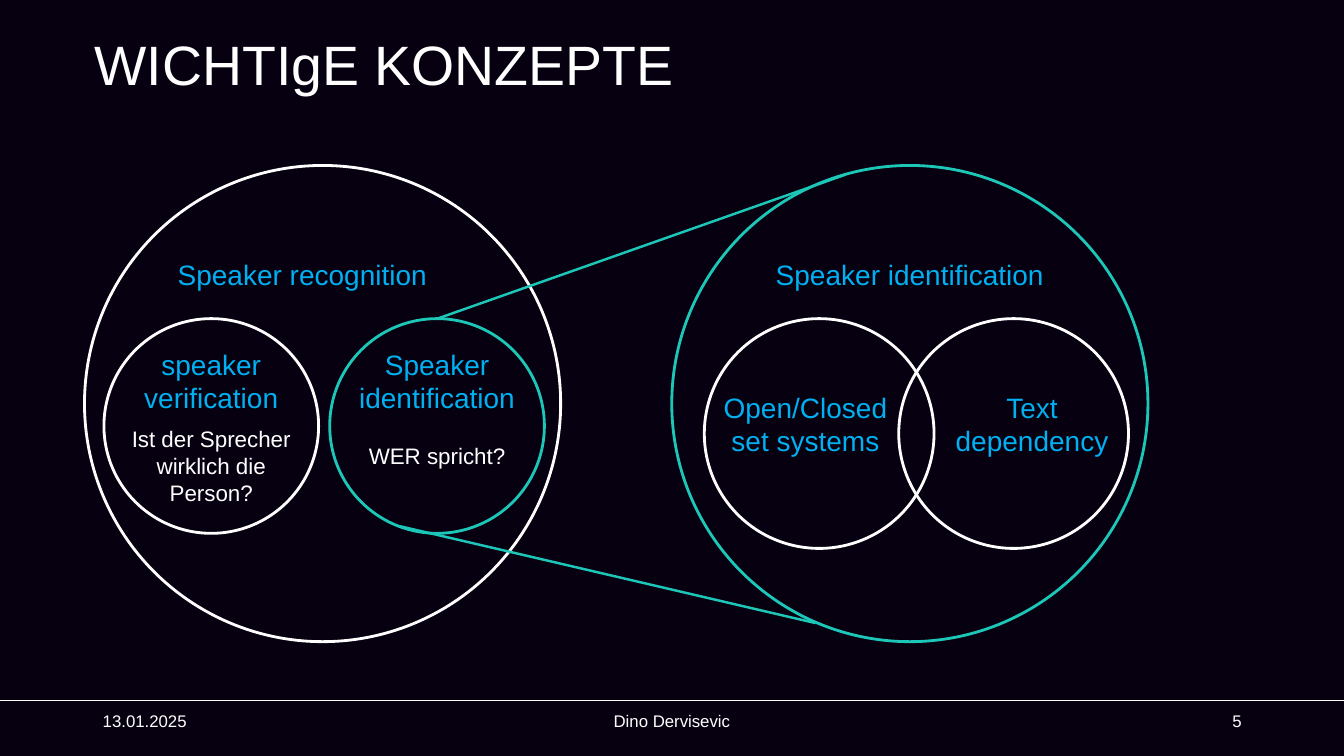
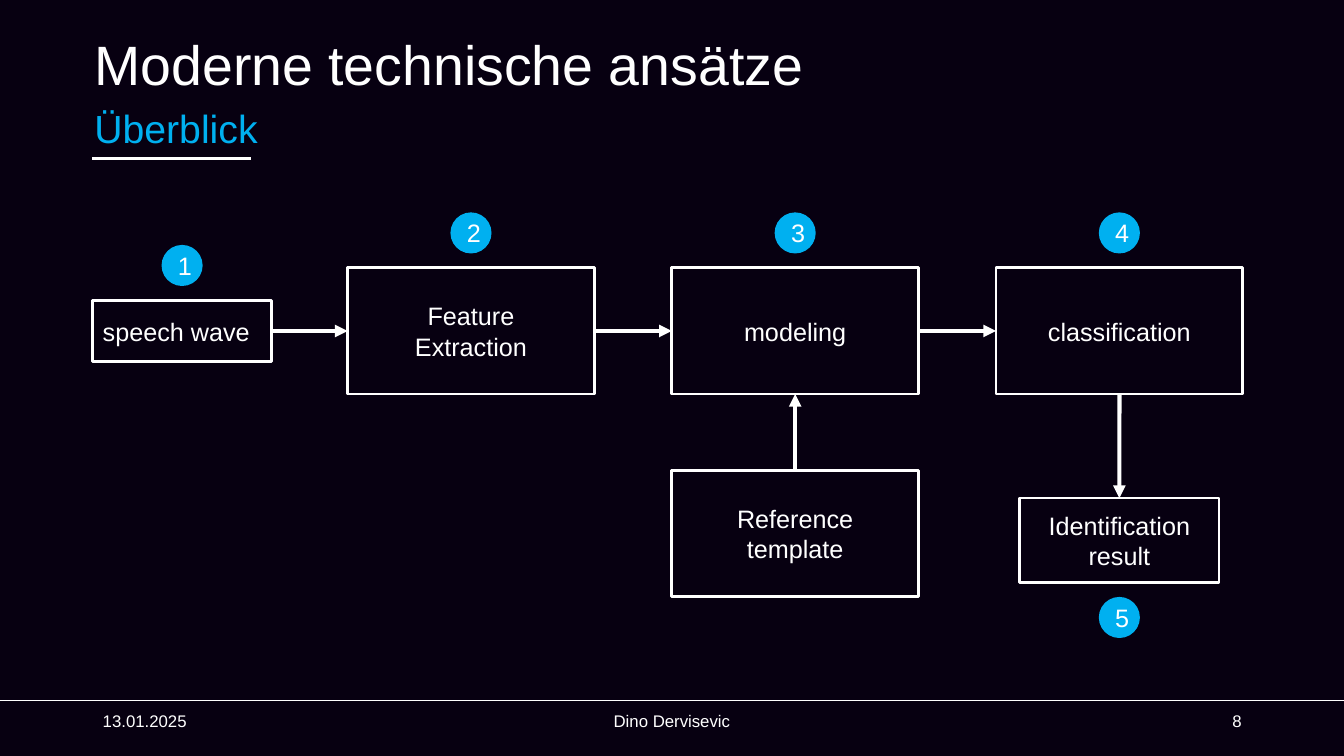
from dataclasses import dataclass

from pptx import Presentation
from pptx.dml.color import RGBColor
from pptx.enum.shapes import MSO_CONNECTOR, MSO_SHAPE
from pptx.enum.text import MSO_ANCHOR, MSO_AUTO_SIZE, PP_ALIGN
from pptx.oxml import parse_xml
from pptx.oxml.ns import nsdecls
from pptx.util import Cm, Pt


@dataclass(frozen=True)
class Theme:
    """Colours, font, type sizes and line widths of the deck."""
    night: RGBColor = RGBColor.from_string("070011")
    white: RGBColor = RGBColor.from_string("FFFFFF")
    blue: RGBColor = RGBColor.from_string("00B0F0")
    teal: RGBColor = RGBColor.from_string("1DC7B8")
    font: str = "Arial"
    title: float = 39.6
    subtitle: float = 28
    concept: float = 20
    step: float = 18
    question: float = 16
    footer: float = 12
    rule: float = 1
    zoom: float = 1.75
    outline: float = 2
    arrow: float = 3


@dataclass(frozen=True)
class Box:
    """A rectangle in centimetres."""
    left: float
    top: float
    width: float
    height: float

    @property
    def center(self):
        """Horizontal middle of the box."""
        return self.left + self.width / 2

    @property
    def bottom(self):
        """Lower edge of the box."""
        return self.top + self.height

    def lengths(self):
        """Position and size as slide lengths."""
        return Cm(self.left), Cm(self.top), Cm(self.width), Cm(self.height)


THEME = Theme()
PAGE = Box(0, 0, 33.87, 19.05)


def write(frame, text, size, color=THEME.white, align=PP_ALIGN.LEFT, spacing=None):
    """Fill a text frame with one formatted paragraph."""
    paragraph = frame.paragraphs[0]
    paragraph.text = text
    paragraph.alignment = align
    paragraph.line_spacing = spacing
    paragraph.font.size = Pt(size)
    paragraph.font.name = THEME.font
    paragraph.font.color.rgb = color


def add_text(slide, box, text, size, color=THEME.white, align=PP_ALIGN.LEFT,
             spacing=None, wrap=True):
    """Place vertically centred text in a box."""
    frame = slide.shapes.add_textbox(*box.lengths()).text_frame
    frame.word_wrap = wrap
    frame.vertical_anchor = MSO_ANCHOR.MIDDLE
    write(frame, text, size, color, align, spacing)


def add_outline(slide, preset, box, color=THEME.white, width=THEME.outline):
    """Draw an unfilled preset shape."""
    outline = slide.shapes.add_shape(preset, *box.lengths())
    outline.fill.background()
    outline.line.color.rgb = color
    outline.line.width = Pt(width)
    outline.shadow.inherit = False
    return outline


def add_line(slide, start=(0, 0), end=(0, 0), color=THEME.white, width=THEME.rule):
    """Draw a straight line without shadow."""
    points = (Cm(length) for length in (*start, *end))
    line = slide.shapes.add_connector(MSO_CONNECTOR.STRAIGHT, *points)
    line.line.color.rgb = color
    line.line.width = Pt(width)
    line._element.spPr.append(parse_xml(f"<a:effectLst {nsdecls('a')}/>"))
    return line


def add_arrow(slide, source, source_side, target, target_side):
    """Join two steps with an arrow."""
    arrow = add_line(slide, width=THEME.arrow)
    arrow.begin_connect(source, source_side)
    arrow.end_connect(target, target_side)
    arrow.line._get_or_add_ln().append(
        parse_xml(f'<a:tailEnd {nsdecls("a")} type="triangle"/>'))


def add_footer(slide, box, number):
    """Place the rule, date, author and slide number."""
    add_line(slide, (box.left, box.top), (box.left + box.width, box.top))
    entries = (("13.01.2025", 2.34, 7.62, PP_ALIGN.LEFT),
               ("Dino Dervisevic", 11.22, 11.43, PP_ALIGN.CENTER),
               (number, 23.92, 7.62, PP_ALIGN.RIGHT))
    for text, offset, width, align in entries:
        add_text(slide, Box(box.left + offset, box.top, width, 1.02), text,
                 THEME.footer, align=align)


def add_base_slide(deck, title, number):
    """Add a slide with its title and footer."""
    slide = deck.slides.add_slide(deck.slide_layouts[5])
    heading = slide.shapes.title
    heading.left, heading.top, heading.width, heading.height = Box(
        2.13, 1.02, 29.4, 1.35).lengths()
    heading.text_frame.auto_size = MSO_AUTO_SIZE.NONE
    heading.text_frame.vertical_anchor = MSO_ANCHOR.MIDDLE
    write(heading.text_frame, title, THEME.title, spacing=0.9)
    add_footer(slide, Box(0, 17.65, PAGE.width, 1.4), number)
    return slide


def add_label(slide, center, top, width, text, size=THEME.concept, color=THEME.blue):
    """Centre a label on a horizontal position."""
    height = 0.25 + 0.041 * size * len(text.split("\n"))
    add_text(slide, Box(center - width / 2, top, width, height), text, size, color,
             PP_ALIGN.CENTER, wrap=False)


def add_concept(slide, box, heading, heading_center, color):
    """Draw a large concept circle and its heading."""
    add_outline(slide, MSO_SHAPE.OVAL, box, color)
    add_label(slide, box.left + heading_center, box.top + 2.21, 8, heading)


def add_recognition(slide, box):
    """Draw speaker recognition with its two tasks."""
    add_concept(slide, box, "Speaker recognition", 5.49, THEME.white)
    tasks = ((0.49, "speaker\nverification", 2.59,
              "Ist der Sprecher\nwirklich die\nPerson?", THEME.white),
             (6.18, "Speaker\nidentification", 3, "WER spricht?", THEME.teal))
    for offset, task, question_top, question, color in tasks:
        circle = Box(box.left + offset, box.top + 3.86, 5.41, 5.41)
        add_outline(slide, MSO_SHAPE.OVAL, circle, color)
        add_label(slide, circle.center, circle.top + 0.62, 5, task)
        add_label(slide, circle.center, circle.top + question_top, 4.7, question,
                  THEME.question, THEME.white)


def add_identification(slide, box):
    """Draw speaker identification with its overlapping aspects."""
    add_concept(slide, box, "Speaker identification", box.width / 2, THEME.teal)
    aspects = ((0.82, "Open/Closed\nset systems", 3.37),
               (5.72, "Text\ndependency", 9.08))
    for offset, aspect, label_center in aspects:
        circle = Box(box.left + offset, box.top + 3.86, 5.79, 5.79)
        add_outline(slide, MSO_SHAPE.OVAL, circle)
        add_label(slide, box.left + label_center, circle.top + 1.7, 5, aspect)


def add_concept_map(slide, box):
    """Place both concepts and the lines that enlarge one task."""
    diameter = box.height
    add_recognition(slide, Box(box.left, box.top, diameter, diameter))
    add_identification(
        slide, Box(box.left + box.width - diameter, box.top, diameter, diameter))
    for x1, y1, x2, y2 in ((8.89, 3.86, 19.18, 0.23), (7.95, 9.09, 18.42, 11.53)):
        add_line(slide, (box.left + x1, box.top + y1), (box.left + x2, box.top + y2),
                 THEME.teal, THEME.zoom)


def add_subtitle(slide, box, text):
    """Place the underlined subtitle."""
    add_text(slide, box, text, THEME.subtitle, THEME.blue, spacing=0.9)
    add_line(slide, (box.left + 0.2, box.bottom + 0.02),
             (box.left + 4.2, box.bottom + 0.02), width=THEME.outline)


def add_step(slide, box, text, align=PP_ALIGN.CENTER):
    """Draw a framed process step."""
    step = add_outline(slide, MSO_SHAPE.RECTANGLE, box)
    step.text_frame.word_wrap = True
    write(step.text_frame, text, THEME.step, align=align)
    return step


def add_badge(slide, step_box, number, below=False):
    """Place a numbered badge above or below a step."""
    size, gap = 1, 0.38
    top = step_box.bottom + gap if below else step_box.top - gap - size
    badge = add_outline(slide, MSO_SHAPE.OVAL,
                        Box(step_box.center - size / 2, top, size, size),
                        THEME.blue, THEME.rule)
    badge.fill.solid()
    badge.fill.fore_color.rgb = THEME.blue
    write(badge.text_frame, str(number), THEME.step, align=PP_ALIGN.CENTER)


def add_pipeline(slide, box):
    """Draw the path from speech wave to identification result."""
    width, height, pitch = 6.22, 3.18, 8.17
    extraction, modeling, classification = (
        Box(box.left + 6.42 + pitch * column, box.top, width, height)
        for column in range(3))
    wave = Box(box.left, box.top + 0.82, 4.5, 1.54)
    reference = Box(modeling.left, box.top + 5.1, width, height)
    result = Box(classification.center - 2.51, box.top + 5.8, 5.02, 2.13)

    wave_step = add_step(slide, wave, "speech wave", PP_ALIGN.LEFT)
    extraction_step = add_step(slide, extraction, "Feature\nExtraction")
    modeling_step = add_step(slide, modeling, "modeling")
    classification_step = add_step(slide, classification, "classification")
    reference_step = add_step(slide, reference, "Reference\ntemplate")
    result_step = add_step(slide, result, "Identification\nresult")

    chain = (wave_step, extraction_step, modeling_step, classification_step)
    for source, target in zip(chain, chain[1:]):
        add_arrow(slide, source, 3, target, 1)
    add_arrow(slide, reference_step, 0, modeling_step, 2)
    add_arrow(slide, classification_step, 2, result_step, 0)

    numbered = (wave, extraction, modeling, classification, result)
    for number, step_box in enumerate(numbered, 1):
        add_badge(slide, step_box, number, below=step_box is result)


def add_concepts_slide(deck):
    """Build the slide on important concepts."""
    slide = add_base_slide(deck, "WICHTIgE KONZEPTE", "5")
    add_concept_map(slide, Box(2.13, 4.17, 26.8, 12))


def add_approaches_slide(deck):
    """Build the slide on modern technical approaches."""
    slide = add_base_slide(deck, "Moderne technische ansätze", "8")
    add_subtitle(slide, Box(2.13, 2.62, 29.21, 1.35), "Überblick")
    add_pipeline(slide, Box(2.34, 6.75, 28.98, 8.28))


def main():
    """Build and save the deck."""
    deck = Presentation()
    deck.slide_width, deck.slide_height = Cm(PAGE.width), Cm(PAGE.height)
    background = deck.slide_master.background.fill
    background.solid()
    background.fore_color.rgb = THEME.night
    add_concepts_slide(deck)
    add_approaches_slide(deck)
    deck.save("out.pptx")


if __name__ == "__main__":
    main()
